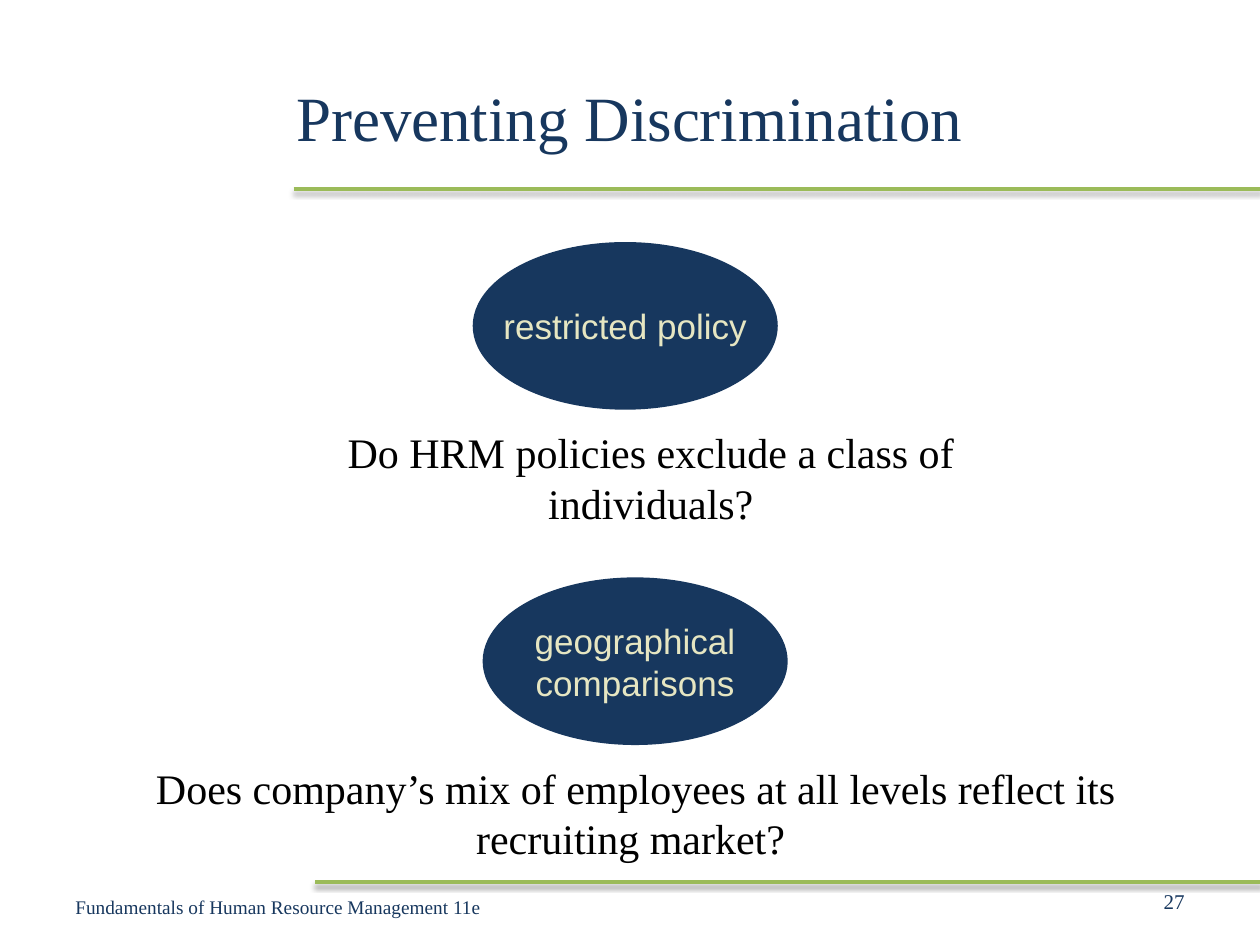
"""Build the "Preventing Discrimination" slide: two ovals, each with a question below."""
from dataclasses import dataclass

from lxml import etree
from pptx import Presentation
from pptx.dml.color import RGBColor
from pptx.enum.shapes import MSO_CONNECTOR, MSO_SHAPE
from pptx.enum.text import MSO_ANCHOR, PP_ALIGN
from pptx.util import Cm, Pt

LEFT, CENTER, RIGHT = PP_ALIGN.LEFT, PP_ALIGN.CENTER, PP_ALIGN.RIGHT
TOP, MIDDLE = MSO_ANCHOR.TOP, MSO_ANCHOR.MIDDLE
OVAL, STRAIGHT = MSO_SHAPE.OVAL, MSO_CONNECTOR.STRAIGHT


@dataclass(frozen=True)
class Theme:
    navy: RGBColor = RGBColor(0x17, 0x37, 0x5E)
    green: RGBColor = RGBColor(0x9B, 0xBB, 0x59)
    cream: RGBColor = RGBColor(0xE6, 0xE6, 0xC2)
    black: RGBColor = RGBColor(0, 0, 0)
    serif: str = "Times New Roman"
    sans: str = "Arial"
    title: Pt = Pt(36)
    question: Pt = Pt(24)
    topic: Pt = Pt(20)
    page: Pt = Pt(12)
    footer: Pt = Pt(11)
    rule: Pt = Pt(2)


THEME = Theme()
SLIDE_WIDTH = 25.4
OVAL_WIDTH, OVAL_HEIGHT = 6.15, 3.38
QUESTION_DROP, QUESTION_HEIGHT = 3.6, 2.31
RULE_SHADOW = (
    '<a:effectLst xmlns:a="http://schemas.openxmlformats.org/drawingml/2006/main">'
    '<a:outerShdw blurRad="40000" dist="20000" dir="5400000" rotWithShape="0">'
    '<a:srgbClr val="000000"><a:alpha val="38000"/></a:srgbClr>'
    '</a:outerShdw></a:effectLst>'
)


def write(frame, text, size, color, font, align, anchor, wrap=True):
    frame.word_wrap = wrap
    frame.vertical_anchor = anchor
    frame.text = text
    for paragraph in frame.paragraphs:
        paragraph.alignment = align
        paragraph.font.size = size
        paragraph.font.color.rgb = color
        paragraph.font.name = font


def add_text(box, text, size, color, align, anchor):
    frame = slide.shapes.add_textbox(*(Cm(length) for length in box)).text_frame
    write(frame, text, size, color, THEME.serif, align, anchor)


presentation = Presentation()
presentation.slide_width, presentation.slide_height = Cm(SLIDE_WIDTH), Cm(19.05)
slide = presentation.slides.add_slide(presentation.slide_layouts[6])

for start, height in ((5.92, 3.81), (6.35, 17.78)):
    rule = slide.shapes.add_connector(
        STRAIGHT, Cm(start), Cm(height), Cm(SLIDE_WIDTH), Cm(height))
    rule.line.color.rgb = THEME.green
    rule.line.width = THEME.rule
    rule._element.spPr.append(etree.fromstring(RULE_SHADOW))

add_text((5.72, 0.76, 18.42, 3.18), "Preventing Discrimination",
         THEME.title, THEME.navy, LEFT, MIDDLE)
add_text((18.21, 17.65, 5.92, 1.02), "27", THEME.page, THEME.navy, RIGHT, MIDDLE)
add_text((1.27, 17.78, 9.53, 1.02), "Fundamentals of Human Resource Management 11e",
         THEME.footer, THEME.navy, LEFT, MIDDLE)

checks = (
    ("restricted policy", 9.53, 4.88,
     "Do HRM policies exclude a class of individuals?", 4.65, 16.94),
    ("geographical\ncomparisons", 9.73, 11.64,
     "Does company’s mix of employees at all levels reflect its recruiting market? ",
     2.34, 20.96),
)
for topic, topic_left, topic_top, question, question_left, question_width in checks:
    oval = slide.shapes.add_shape(
        OVAL, Cm(topic_left), Cm(topic_top), Cm(OVAL_WIDTH), Cm(OVAL_HEIGHT))
    oval.shadow.inherit = False
    oval.fill.solid()
    oval.fill.fore_color.rgb = THEME.navy
    oval.line.fill.background()
    write(oval.text_frame, topic, THEME.topic, THEME.cream, THEME.sans,
          CENTER, MIDDLE, wrap=False)
    add_text((question_left, topic_top + QUESTION_DROP, question_width, QUESTION_HEIGHT),
             question, THEME.question, THEME.black, CENTER, TOP)

presentation.save("out.pptx")
